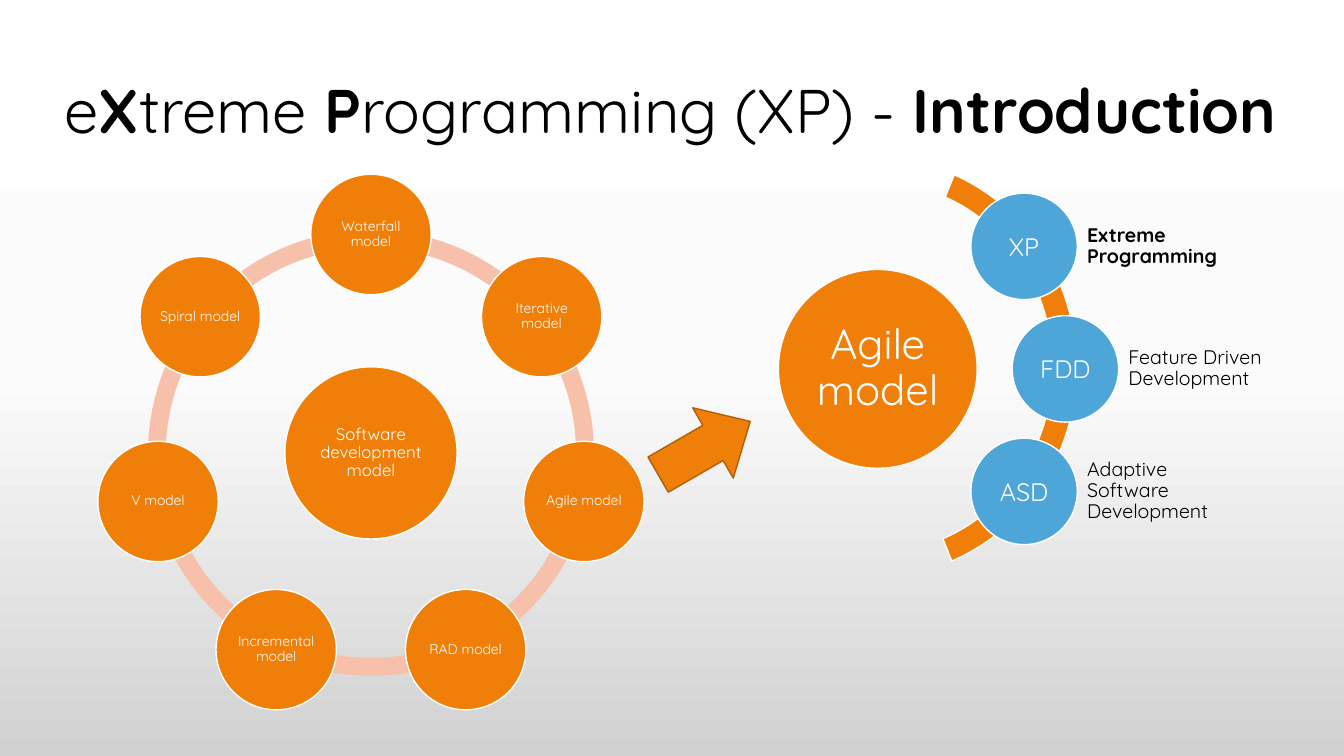
from copy import deepcopy
from dataclasses import dataclass
from math import cos, radians, sin

from pptx import Presentation
from pptx.dml.color import RGBColor
from pptx.enum import shapes, text
from pptx.util import Pt


@dataclass(frozen=True)
class Theme:
    font: str = "Quicksand"
    black: str = "000000"
    white: str = "FFFFFF"
    orange: str = "F07F09"
    dark_orange: str = "B25E07"
    peach: str = "F6C0AB"
    blue: str = "4EA5D8"
    background: tuple = ((0, "FFFFFF"), (0.5, "FBFBFB"), (1, "D1D1D1"))
    title_size: int = 44
    agile_size: int = 30
    method_size: int = 18
    label_size: int = 14
    hub_size: int = 12
    model_size: int = 10


THEME = Theme()
TITLE = (("e", False), ("X", True), ("treme ", False), ("P", True),
         ("rogramming (XP) - ", False), ("Introduction", True))
MODELS = ("Waterfall model", "Iterative model", "Agile model", "RAD model",
          "Incremental model", "V model", "Spiral model")
# Short name, full name, bold label, horizontal centre
METHODS = (("XP", "Extreme Programming", True, 731.5),
           ("FDD", "Feature Driven Development", False, 761),
           ("ASD", "Adaptive Software Development", False, 731.5))
ANGLE_UNIT = 0.6  # adjustment value for one degree


def apply(target, values):
    for name, value in values.items():
        setattr(target, name, value)


def write(shape, runs, size, color, align, inset=1, spacing=0.9):
    """Fill a shape with one paragraph of (wording, bold) runs."""
    frame = shape.text_frame
    sides = ("left", "top", "right", "bottom")
    apply(frame, {"word_wrap": True, "vertical_anchor": text.MSO_ANCHOR.MIDDLE,
                  **{f"margin_{side}": Pt(inset) for side in sides}})
    paragraph = frame.paragraphs[0]
    apply(paragraph, {"alignment": align, "line_spacing": spacing})
    for wording, bold in runs:
        run = paragraph.add_run()
        run.text = wording
        apply(run.font, {"name": THEME.font, "size": Pt(size), "bold": bold})
        run.font.color.rgb = RGBColor.from_string(color)


def add_shape(slide, kind, box, fill, line=None, adjustments=()):
    shape = slide.shapes.add_shape(kind, *map(Pt, box))
    shape.shadow.inherit = False
    shape.fill.solid()
    shape.fill.fore_color.rgb = RGBColor.from_string(fill)
    if line:
        shape.line.color.rgb = RGBColor.from_string(line)
        shape.line.width = Pt(1)
    else:
        shape.line.fill.background()
    for index, value in enumerate(adjustments):
        shape.adjustments[index] = value
    return shape


def add_circle(slide, center, diameter, wording, size, fill, spacing=0.9):
    x, y = center
    box = (x - diameter / 2, y - diameter / 2, diameter, diameter)
    circle = add_shape(slide, shapes.MSO_SHAPE.OVAL, box, fill, THEME.white)
    write(circle, [(wording, False)], size, THEME.white,
          text.PP_ALIGN.CENTER, spacing=spacing)


def add_arc(slide, box, start, end, thickness, fill, line=None):
    angles = [angle % 360 * ANGLE_UNIT for angle in (start, end)]
    add_shape(slide, shapes.MSO_SHAPE.BLOCK_ARC, box, fill, line,
              (*angles, thickness))


def add_label(slide, box, runs, size, inset=1):
    label = slide.shapes.add_textbox(*map(Pt, box))
    write(label, runs, size, THEME.black, text.PP_ALIGN.LEFT, inset)


def paint_background(slide):
    fill = slide.background.fill
    fill.gradient()
    fill.gradient_angle = 270
    stop_list = slide.element.xpath(".//a:gsLst")[0]
    stop_list.insert(1, deepcopy(stop_list[0]))
    for stop, (position, color) in zip(fill.gradient_stops, THEME.background):
        stop.position = position
        stop.color.rgb = RGBColor.from_string(color)


def add_model_ring(slide):
    x, y = center = (265, 323.5)
    radius, diameter = 156, 318.5
    step = 360 / len(MODELS)
    box = (x - diameter / 2, y - diameter / 2, diameter, diameter)
    angles = [270 + index * step for index in range(len(MODELS))]
    for angle in angles:
        add_arc(slide, box, angle, angle + step, 0.04, THEME.peach)
    add_circle(slide, center, 123, "Software development model",
               THEME.hub_size, THEME.orange)
    for angle, model in zip(angles, MODELS):
        spot = (x + radius * cos(radians(angle)),
                y + radius * sin(radians(angle)))
        add_circle(slide, spot, 86, model, THEME.model_size, THEME.orange)


def add_agile_methods(slide):
    middle, step, diameter = 263.5, 87.5, 76
    add_circle(slide, (627, middle), 142, "Agile model",
               THEME.agile_size, THEME.orange)
    add_arc(slide, (482.4, 113, 286.6, 298.8), 292.13, 68.65, 0.06,
            THEME.orange, THEME.white)
    for index, (short, full, bold, x) in enumerate(METHODS):
        y = middle + (index - 1) * step
        add_circle(slide, (x, y), diameter, short, THEME.method_size,
                   THEME.blue, spacing=1)
        add_label(slide, (x + 44, y - 37, 102, 74), [(full, bold)],
                  THEME.label_size)


def main():
    presentation = Presentation()
    apply(presentation, {"slide_width": Pt(960), "slide_height": Pt(540)})
    slide = presentation.slides.add_slide(presentation.slide_layouts[6])
    paint_background(slide)

    # Title
    add_label(slide, (39, 29, 903, 104), TITLE, THEME.title_size, inset=7.2)

    # Development models, with an arrow leading to the agile methods
    add_model_ring(slide)
    arrow = add_shape(slide, shapes.MSO_SHAPE.DOWN_ARROW, (474, 282, 58, 76),
                      THEME.orange, THEME.dark_orange, (0.5, 0.53))
    arrow.rotation = 240
    add_agile_methods(slide)

    presentation.save("out.pptx")


if __name__ == "__main__":
    main()
